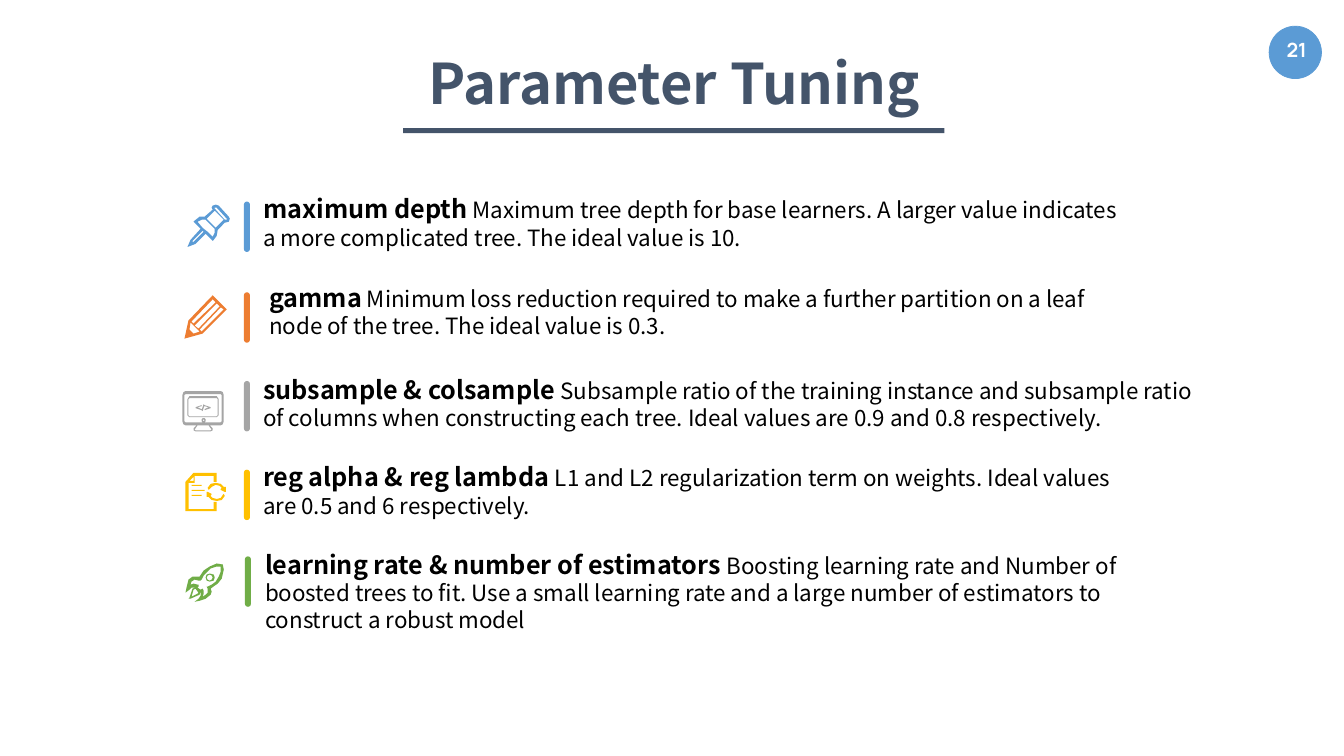
import dataclasses

import pptx
import pptx.dml.color
import pptx.enum.shapes
import pptx.enum.text
import pptx.util

Pt = pptx.util.Pt
KIND = pptx.enum.shapes.MSO_SHAPE
FONT = "Noto Sans CJK SC"
NAVY, BLUE, ORANGE = "44546A", "5B9BD5", "ED7D31"
GRAY, GOLD, GREEN = "A5A5A5", "FFC000", "70AD47"
GRID = 0.72  # points per icon grid unit
LEFT = 129.6  # left edge of all icons

# Icon outlines: each string is one shape, with "/" between its contours
PIN = (
    "36,28 43,21 47,20 48,17 47,15 37,4 34,3 31,4 30,6 31,8 23,15 18,15 13,19 12,20 "
    "19,27 9,38 6,45 14,42 24,32 31,39 32,38 35,34"
    "/35,6 45,17 45,18 43,18 34,8 33,7 33,6"
    "/34,26 25,17 33,9 42,18"
    "/12,40 11,40 11,39 21,29 22,30"
    "/26,30 21,26 16,20 20,18 24,18 33,27 33,31 31,35",
)
PENCIL = (
    "45,17 31,3 7,28 3,46 21,41"
    "/20,39 18,37 39,15 42,17"
    "/12,41 8,37 9,30 12,33 17,38 18,39"
    "/38,14 17,36 13,33 35,11"
    "/31,7 34,10 12,31 10,29",
)
SCREEN = (
    "39,3 4,3 2,4 1,7 1,33 2,36 4,37 15,37 13,39 12,40 12,42 14,43 29,43 31,42 "
    "31,40 30,39 28,37 39,37 41,36 42,33 42,7 41,4"
    "/29,40 30,41 29,42 14,42 13,41 14,40 16,37 27,37"
    "/40,33 39,34 4,34 3,33 3,7 4,6 39,6 40,7"
    "/35,8 8,8 6,11 6,27 8,29 35,29 37,27 37,11"
    "/36,27 35,28 8,28 7,27 7,11 8,10 35,10 36,11"
    "/21,30 23,30 24,31 24,33 23,34 21,34 20,33 20,31"
    "/22,31 23,32 22,33 21,32"
    "/14,20 20,22 20,21 16,19 20,18 20,17 14,19"
    "/22,16 23,17 21,23 20,22"
    "/23,18 27,19 23,21 23,22 29,20 29,19 23,17",
)
PAGE = (
    "35,33 32,33 32,40 7,40 7,14 13,14 13,7 32,7 32,13 35,13 35,4 12,4 4,13 4,42 35,42"
    "/12,8 12,12 8,12"
    "/10,21 23,21 23,22 10,22"
    "/10,16 20,16 20,17 10,17"
    "/10,26 20,26 20,27 10,27",
    "35,32 30,31 27,28 25,28 25,23 26,23 30,25 29,27 31,29 35,30 39,29 41,26 42,25 "
    "43,27 40,31"
    "/43,23 39,21 39,20 40,19 38,17 34,16 30,18 28,20 27,21 26,19 29,15 34,14 39,15 "
    "42,18 44,18 44,23",
)
ROCKET = (
    "4,33 5,28 7,20 11,17 18,17 20,14 22,11 25,9 28,7 35,4 41,5 42,10 40,19 36,24 "
    "33,26 29,29 30,32 29,35 24,39 18,41 13,42 17,39 19,36 19,33 17,33 14,29 13,28 "
    "10,28 8,30"
    "/29,9 25,13 22,16 20,20 19,21 17,21 13,20 10,22 9,25 12,24 16,25 17,25 17,27 "
    "16,28 19,30 21,29 22,31 22,34 21,37 24,35 26,33 26,29 25,27 26,27 30,25 34,22 "
    "37,17 39,12 39,7 35,7"
    "/25,21 24,18 25,15 28,14 32,15 33,18 32,21 28,22"
    "/30,16 28,15 26,16 25,18 26,20 28,21 30,20 31,18",
    "7,39 8,38 11,29 13,28 17,29 19,32 18,35 9,39"
    "/16,31 14,29 12,30 10,37 16,34 17,33",
)


@dataclasses.dataclass
class Run:
    text: str
    size: float
    bold: bool = True
    tint: str = "000000"
    font: str = FONT


@dataclasses.dataclass
class Box:
    left: float
    top: float
    width: float
    height: float


@dataclasses.dataclass
class Row:
    tint: str
    icon: tuple[str, ...]
    top: float  # icon top
    bar: Box
    box: Box
    name: str
    note: str


ROWS = [
    Row(BLUE, PIN, 144, Box(174.24, 144, 4.32, 36), Box(179.28, 133.92, 633.6, 71.28),
        "maximum depth",
        " Maximum tree depth for base learners. A larger value indicates a more "
        "complicated tree. The ideal value is 10."),
    Row(ORANGE, PENCIL, 208.8, Box(174.24, 208.8, 4.32, 36), Box(183.6, 197.28, 633.6, 49.68),
        "gamma",
        " Minimum loss reduction required to make a further partition on a leaf "
        "node of the tree. The ideal value is 0.3."),
    Row(GRAY, SCREEN, 277.2, Box(174.24, 272.16, 4.32, 36), Box(179.28, 262.8, 686.88, 49.68),
        "subsample & colsample ",
        "Subsample ratio of the training instance and subsample ratio of columns when "
        "constructing each tree. Ideal values are 0.9 and 0.8 respectively."),
    Row(GOLD, PAGE, 334.8, Box(174.24, 335.52, 4.32, 36), Box(179.28, 325.44, 633.6, 49.68),
        "reg alpha & reg lambda ",
        "L1 and L2 regularization term on weights. Ideal values are 0.5 and 6 "
        "respectively."),
    Row(GREEN, ROCKET, 399.6, Box(174.96, 397.44, 4.32, 36), Box(180.72, 388.08, 686.16, 69.12),
        "learning rate & number of estimators ",
        "Boosting learning rate and Number of boosted trees to fit. Use a small learning "
        "rate and a large number of estimators to construct a robust model"),
]

deck = pptx.Presentation()
deck.slide_width, deck.slide_height = Pt(960), Pt(540)
slide = deck.slides.add_slide(deck.slide_layouts[6])


def shade(tint: str) -> pptx.dml.color.RGBColor:
    return pptx.dml.color.RGBColor.from_string(tint)


def frame(box: Box) -> list[int]:
    return [Pt(size) for size in dataclasses.astuple(box)]


def paint(shape, tint: str) -> None:
    shape.shadow.inherit = False
    shape.fill.solid()
    shape.fill.fore_color.rgb = shade(tint)
    shape.line.fill.background()


def block(kind, box: Box, tint: str):
    shape = slide.shapes.add_shape(kind, *frame(box))
    paint(shape, tint)
    return shape


def write(box: Box, runs: list[Run], pad: tuple[float, float],
          center: bool = False, wrap: bool = True) -> None:
    text = slide.shapes.add_textbox(*frame(box)).text_frame
    text.word_wrap = wrap
    text.auto_size = pptx.enum.text.MSO_AUTO_SIZE.SHAPE_TO_FIT_TEXT
    text.margin_left = text.margin_right = Pt(pad[0])
    text.margin_top = text.margin_bottom = Pt(pad[1])
    para = text.paragraphs[0]
    if center:
        para.alignment = pptx.enum.text.PP_ALIGN.CENTER
    for item in runs:
        run = para.add_run()
        run.text = item.text
        run.font.name = item.font
        run.font.size = Pt(item.size)
        run.font.bold = item.bold
        run.font.color.rgb = shade(item.tint)


def trace(shape: str, top: float, tint: str) -> None:
    paths = [[tuple(map(int, dot.split(","))) for dot in part.split()]
             for part in shape.split("/")]
    pen = slide.shapes.build_freeform(*paths[0][0], scale=Pt(GRID))
    for path in paths:
        if path is not paths[0]:
            pen.move_to(*path[0])
        pen.add_line_segments(path[1:], close=True)
    paint(pen.convert_to_shape(Pt(LEFT), Pt(top)), tint)


# Page number
badge = block(KIND.OVAL, Box(906.48, 18.72, 37.44, 37.44), BLUE)
badge.line.color.rgb = shade(BLUE)
badge.line.width = Pt(0.5)
write(Box(910.8, 23.76, 30.96, 24.48), [Run("21", 14, tint="FFFFFF", font="Manrope")],
      (7.2, 3.6), center=True, wrap=False)

# Title and rule
write(Box(238.32, 33.12, 486.72, 51.84), [Run("Parameter Tuning", 40, tint=NAVY)],
      (3.6, 1.44), center=True)
block(KIND.RECTANGLE, Box(288, 91.44, 386.64, 3.6), NAVY)

# Parameter rows
for row in ROWS:
    for part in row.icon:
        trace(part, row.top, row.tint)
    bar = block(KIND.ROUND_2_SAME_RECTANGLE, row.bar, row.tint)
    bar.adjustments[0] = bar.adjustments[1] = 0.5
    write(row.box, [Run(row.name, 18), Run(row.note, 16, bold=False)], (8.64, 4.32))

deck.save("out.pptx")
